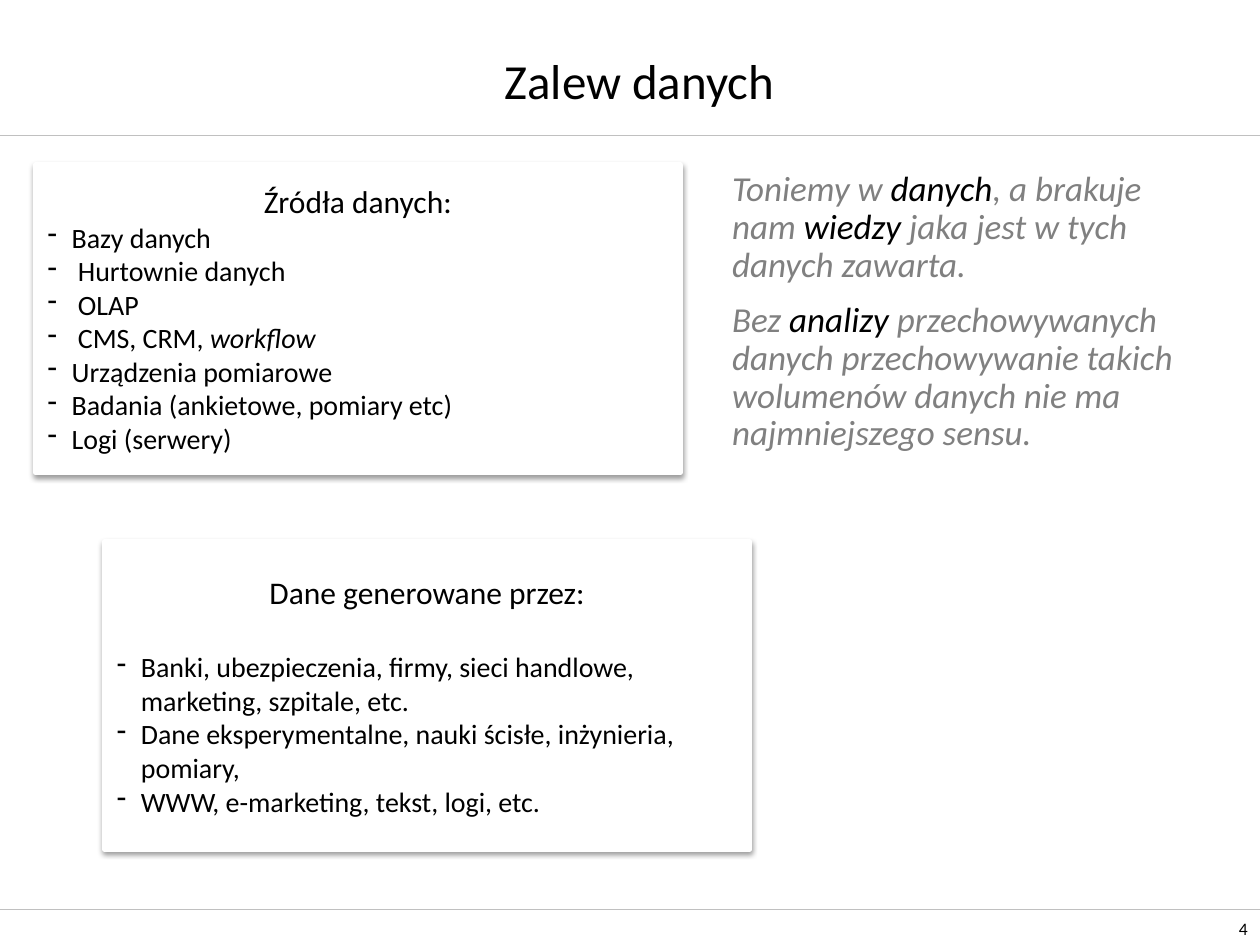
from pptx import Presentation
from pptx.dml.color import RGBColor
from pptx.enum.shapes import MSO_CONNECTOR as Line, MSO_SHAPE as Shape
from pptx.enum.text import MSO_ANCHOR as Anchor, MSO_AUTO_SIZE as Fit, PP_ALIGN as Align
from pptx.oxml.ns import qn
from pptx.oxml.xmlchemy import OxmlElement as Node
from pptx.util import Inches, Pt


def color(code):
    return RGBColor.from_string(code)


def add_node(parent, tag, **attrs):
    node = Node(tag)
    for key, value in attrs.items():
        node.set(key, str(value))
    parent.append(node)
    return node


class Deck:
    font = "Calibri"
    ink, grey, rule, paper = "000000", "808080", "C0C0C0", "FFFFFF"

    def __init__(self):
        self.file = Presentation()
        self.file.slide_width = Inches(10)
        self.file.slide_height = Inches(7.5)
        self.slide = self.file.slides.add_slide(self.file.slide_layouts[1])

    def place(self, shape, box):
        shape.left, shape.top, shape.width, shape.height = map(Inches, box)

    def label(self, para, text, size, align=Align.LEFT):
        para.text = text
        para.alignment = align
        for run in para.runs:
            self.style(run, size)

    def style(self, run, size, tint=ink, italic=False):
        run.font.name = self.font
        run.font.size = Pt(size)
        run.font.italic = italic
        run.font.color.rgb = color(tint)

    def mix(self, para, text, size, plain, marked):
        """Set text whose parts between asterisks take the marked style."""
        for i, part in enumerate(text.split("*")):
            if part:
                run = para.add_run()
                run.text = part
                tint, italic = marked if i % 2 else plain
                self.style(run, size, tint, italic)

    def bullet(self, para, indent, mark=None):
        props = para._p.get_or_add_pPr()
        props.set("marL", str(Inches(indent)))
        props.set("indent", str(-Inches(indent)))
        if mark:
            add_node(props, "a:buChar", char=mark)
        else:
            add_node(props, "a:buNone")

    def title(self, text, box):
        shape = self.slide.shapes.title
        self.place(shape, box)
        frame = shape.text_frame
        frame.auto_size = Fit.NONE
        frame.vertical_anchor = Anchor.MIDDLE
        self.label(frame.paragraphs[0], text, 28, Align.CENTER)

    def body(self, texts, box):
        shape = self.slide.placeholders[1]
        self.place(shape, box)
        frame = shape.text_frame
        frame.auto_size = Fit.NONE
        for i, text in enumerate(texts):
            para = frame.add_paragraph() if i else frame.paragraphs[0]
            para.line_spacing = 0.9
            para.space_before = Pt(10 if i else 0)
            self.bullet(para, 0)
            self.mix(para, text, 20, (self.grey, True), (self.ink, True))

    def divider(self, y):
        line = self.slide.shapes.add_connector(
            Line.STRAIGHT, 0, Inches(y), Inches(10), Inches(y))
        line.line.color.rgb = color(self.rule)
        line.line.width = Pt(0.25)
        add_node(line._element.spPr, "a:effectLst")

    def number(self, text, box):
        frame = self.slide.shapes.add_textbox(*map(Inches, box)).text_frame
        frame.word_wrap = True
        frame.vertical_anchor = Anchor.BOTTOM
        self.label(frame.paragraphs[0], text, 10, Align.RIGHT)

    def card(self, head, items, box, gap=0):
        shape = self.slide.shapes.add_shape(Shape.RECTANGLE, *map(Inches, box))
        shape.fill.solid()
        shape.fill.fore_color.rgb = color(self.paper)
        shape.line.color.rgb = color(self.paper)
        shape.line.width = Pt(3)
        self.shade(shape)
        frame = shape.text_frame
        frame.word_wrap = True
        frame.vertical_anchor = Anchor.MIDDLE
        para = frame.paragraphs[0]
        self.label(para, head, 18, Align.CENTER)
        para.space_after = Pt(gap)
        for item in items:
            para = frame.add_paragraph()
            para.alignment = Align.LEFT
            self.bullet(para, 0.19, "-")
            self.mix(para, item, 16, (self.ink, False), (self.ink, True))

    def shade(self, shape):
        shape.shadow.inherit = False
        effects = shape._element.spPr.find(qn("a:effectLst"))
        outer = add_node(effects, "a:outerShdw", blurRad=Pt(3.1), dist=Pt(1.6),
                         dir=90 * 60000, rotWithShape=0)
        tint = add_node(outer, "a:srgbClr", val=self.ink)
        add_node(tint, "a:alpha", val=38000)


def main():
    deck = Deck()

    # Frame of the slide
    for y in (1.07, 7.22):
        deck.divider(y)
    deck.number("4", (9.49, 7.22, 0.51, 0.28))

    # Title and comment
    deck.title("Zalew danych", (0.98, 0.36, 8.19, 0.55))
    deck.body([
        "Toniemy w *danych*, a brakuje nam *wiedzy* jaka jest w tych danych zawarta.",
        "Bez *analizy* przechowywanych danych przechowywanie takich wolumenów "
        "danych nie ma najmniejszego sensu.",
    ], (5.71, 1.31, 3.78, 2.52))

    # Cards
    size = (5.12, 2.44)
    deck.card("Źródła danych:", [
        "Bazy danych",
        " Hurtownie danych",
        " OLAP",
        " CMS, CRM, *workflow*",
        "Urządzenia pomiarowe",
        "Badania (ankietowe, pomiary etc)",
        "Logi (serwery)",
    ], (0.28, 1.31, *size))
    deck.card("Dane generowane przez:", [
        "Banki, ubezpieczenia, firmy, sieci handlowe, marketing, szpitale, etc.",
        "Dane eksperymentalne, nauki ścisłe, inżynieria, pomiary,",
        "WWW, e-marketing, tekst, logi, etc.",
    ], (0.83, 4.3, *size), gap=22)

    deck.file.save("out.pptx")


if __name__ == "__main__":
    main()
